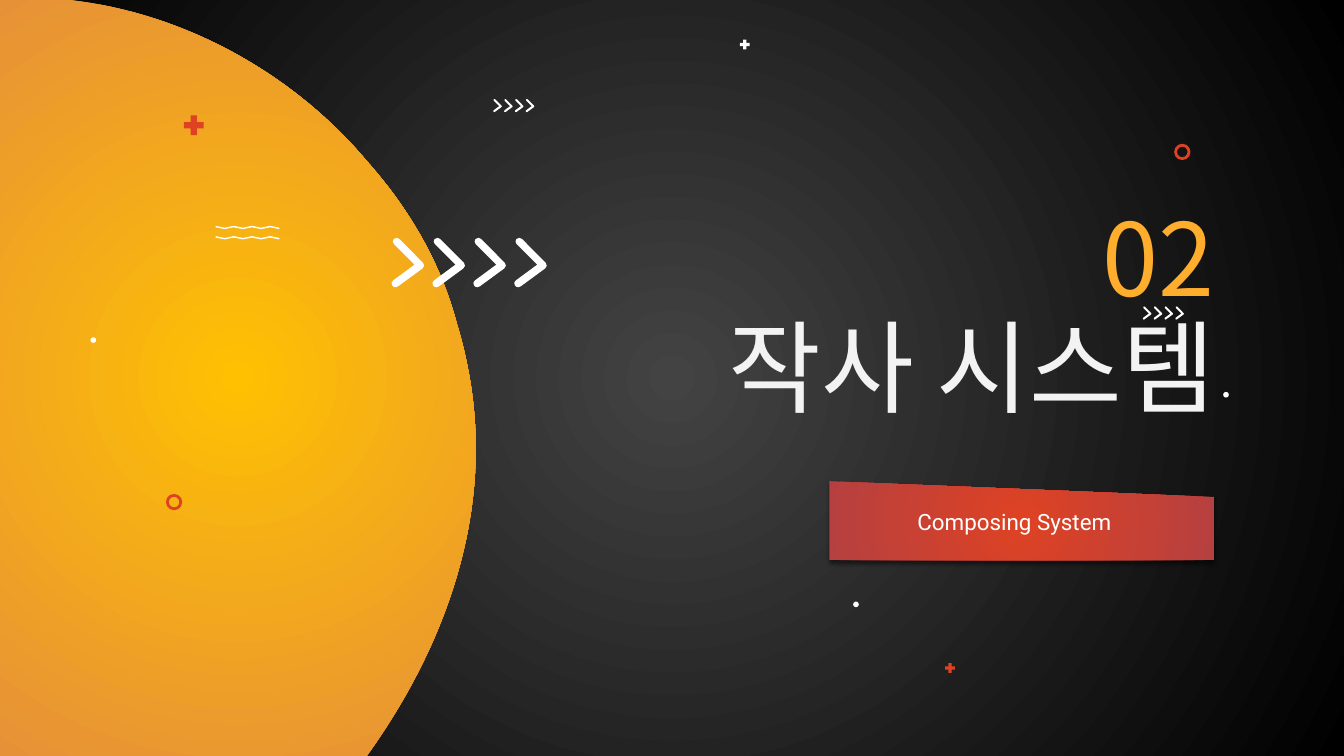
from lxml import etree
from pptx import Presentation
from pptx.dml import color
from pptx.enum import shapes, text
from pptx.oxml import ns
from pptx.util import Pt

WHITE, RED = "FFFFFF", "DE4223"
HEADING_FONT, BODY_FONT = "Noto Sans CJK KR", "Roboto"
TITLE = [("02", "FFAD2C"), ("작사 시스템", "F3F3F3")]
SUBTITLE = "Composing System"

DOME = [
    (254.9, 240.5),
    (254.9, 290.9, 237.6, 347.8, 196.6, 405),
    (0, 405),
    (0, -0.7),
    (71.3, -5.8, 147.6, 28.1, 196.6, 86.4),
    (219.6, 112.3, 236.2, 141.1, 244.8, 173.5),
    (251.3, 195.1, 254.9, 217.4, 254.9, 240.5),
]
CHEVRON = [
    (2.9, 0),
    (2.2, 0, 1.6, 0.2, 1.2, 0.7),
    (0.6, 1.5, 0.6, 2.6, 1.3, 3.3),
    (12.4, 14.4),
    (0.9, 22.9),
    (0, 23.5, -0.2, 24.6, 0.4, 25.5),
    (0.8, 26.1, 1.5, 26.5, 2.2, 26.5),
    (2.7, 26.5, 3.2, 26.3, 3.6, 26),
    (16.7, 16.4),
    (17.2, 16.1, 17.5, 15.6, 17.5, 15),
    (17.5, 14.4, 17.3, 13.9, 17, 13.5),
    (4.3, 0.7),
    (3.9, 0.3, 3.4, 0, 2.9, 0),
]
CHEVRON_COUNT = 4
CHEVRON_PITCH = 21.9
SMALL_CHEVRONS = [(612.2, 164.2), (264.2, 53.1)]
LARGE_CHEVRONS = (209.7, 127.4)
WAVES = [(115.5, 121), (115.5, 126.5)]
WAVE_WIDTH, WAVE_HEIGHT, WAVE_THICKNESS, WAVE_BENDS = 34.1, 1, 0.8, 7
PLUSES = [(96.6, 59.9, 14.4, RED), (395.4, 20.3, 7.2, WHITE), (505.4, 354.3, 7.2, RED)]
DOTS = [(48.5, 180.7), (655.3, 210), (457.1, 322.3)]
RINGS = [(629.8, 77.8), (89.7, 265.4)]


def rgb(value):
    return color.RGBColor.from_string(value)


def paint(shape, fill=None, line=None):
    shape.shadow.inherit = False
    if fill:
        shape.fill.solid()
        shape.fill.fore_color.rgb = rgb(fill)
    else:
        shape.fill.background()
    if line:
        shape.line.color.rgb = rgb(line)
        shape.line.width = Pt(1.5)
    else:
        shape.line.fill.background()


def paint_radial(fill, element, inner, outer):
    fill.gradient()
    for stop, value in zip(fill.gradient_stops, (inner, outer)):
        stop.color.rgb = rgb(value)
    gradient = next(element.iter(ns.qn("a:gradFill")))
    gradient.remove(gradient.find(ns.qn("a:lin")))
    circle = etree.SubElement(gradient, ns.qn("a:path"), path="circle")
    etree.SubElement(circle, ns.qn("a:fillToRect"), l="50000", t="50000", r="50000", b="50000")


def add_outline(slide, outline, left=0, top=0, scale=1):
    placed = [[(Pt(left + x * scale), Pt(top + y * scale))
               for x, y in zip(segment[::2], segment[1::2])] for segment in outline]
    ends = [segment[-1] for segment in placed]
    builder = slide.shapes.build_freeform(*ends[0], scale=1.0)
    builder.add_line_segments(ends[1:], close=True)
    shape = builder.convert_to_shape()
    origin_x, origin_y = min(x for x, y in ends), min(y for x, y in ends)
    sides = list(shape._element.iter(ns.qn("a:lnTo")))
    for side, segment in zip(sides, placed[1:]):
        if len(segment) == 3:
            curve = etree.Element(ns.qn("a:cubicBezTo"))
            for x, y in segment:
                etree.SubElement(curve, ns.qn("a:pt"), x=str(x - origin_x), y=str(y - origin_y))
            side.getparent().replace(side, curve)
    paint(shape, WHITE)
    return shape


def wave_outline():
    def bends(stops, y_shift):
        for start, end in zip(stops, stops[1:]):
            x0, x1 = start * WAVE_WIDTH / WAVE_BENDS, end * WAVE_WIDTH / WAVE_BENDS
            y0, y1 = (WAVE_HEIGHT * (stop % 2) + y_shift for stop in (start, end))
            reach = 0.36 * (x1 - x0)
            yield x0 + reach, y0, x1 - reach, y1, x1, y1

    stops = list(range(WAVE_BENDS + 1))
    return [(0, 0), *bends(stops, 0), (WAVE_WIDTH, WAVE_HEIGHT + WAVE_THICKNESS),
            *bends(stops[::-1], WAVE_THICKNESS)]


def add_preset(slide, kind, left, top, width, height, **colours):
    shape = slide.shapes.add_shape(kind, Pt(left), Pt(top), Pt(width), Pt(height))
    paint(shape, **colours)
    return shape


def add_chevrons(slide, left, top, scale=1):
    for index in range(CHEVRON_COUNT):
        add_outline(slide, CHEVRON, left + index * CHEVRON_PITCH * scale, top, scale)


def add_text(slide, lines, *, box, font, size, spacing=1, anchor=text.MSO_ANCHOR.TOP):
    frame = slide.shapes.add_textbox(*map(Pt, box)).text_frame
    frame.word_wrap = True
    frame.vertical_anchor = anchor
    frame.margin_left = frame.margin_right = frame.margin_top = frame.margin_bottom = 0
    paragraph = frame.paragraphs[0]
    paragraph.alignment = text.PP_ALIGN.RIGHT
    paragraph.line_spacing = spacing
    for index, (words, colour) in enumerate(lines):
        if index:
            paragraph.add_line_break()
        run = paragraph.add_run()
        run.text = words
        run.font.name = font
        run.font.size = Pt(size)
        run.font.color.rgb = rgb(colour)
        latin = run.font._element.find(ns.qn("a:latin"))
        latin.addnext(etree.Element(ns.qn("a:ea"), typeface=font))
    for line_break in paragraph._p.findall(ns.qn("a:br")):
        etree.SubElement(line_break, ns.qn("a:rPr"), sz=str(size * 100))


def add_banner(slide):
    banner = add_preset(slide, shapes.MSO_SHAPE.FLOWCHART_MANUAL_INPUT, 444.4, 257.8, 205.9, 42.3)
    paint_radial(banner.fill, banner._element, RED, "B64040")
    properties = banner._element.spPr
    properties.find(ns.qn("a:xfrm")).set("flipH", "1")
    shadow = etree.SubElement(
        properties.find(ns.qn("a:effectLst")), ns.qn("a:outerShdw"),
        blurRad=str(Pt(2.2)), dist=str(Pt(1.5)), dir="5400000", algn="bl", rotWithShape="0")
    shade = etree.SubElement(shadow, ns.qn("a:srgbClr"), val="000000")
    etree.SubElement(shade, ns.qn("a:alpha"), val="50000")


def main():
    deck = Presentation()
    deck.slide_width, deck.slide_height = Pt(720), Pt(405)
    slide = deck.slides.add_slide(deck.slide_layouts[6])
    paint_radial(slide.background.fill, slide._element, "434343", "000000")

    dome = add_outline(slide, DOME)
    paint_radial(dome.fill, dome._element, "FFC002", "E69138")

    for left, top in WAVES:
        add_outline(slide, wave_outline(), left, top)
    for left, top, size, colour in PLUSES:
        plus = add_preset(slide, shapes.MSO_SHAPE.MATH_PLUS, left, top, size, size, fill=colour)
        plus.adjustments[0] = 0.235
    for left, top in DOTS:
        add_preset(slide, shapes.MSO_SHAPE.OVAL, left, top, 3, 3, fill=WHITE)
    for left, top in RINGS:
        add_preset(slide, shapes.MSO_SHAPE.OVAL, left, top, 7.2, 7.2, line=RED)
    for left, top in SMALL_CHEVRONS:
        add_chevrons(slide, left, top, 0.265)

    add_banner(slide)
    add_text(slide, TITLE, box=(293, 52.6, 357.8, 176.4), font=HEADING_FONT, size=54,
             spacing=0.9, anchor=text.MSO_ANCHOR.BOTTOM)
    add_text(slide, [(SUBTITLE, WHITE)], box=(347.8, 272.2, 247.7, 28.1), font=BODY_FONT, size=12)
    add_chevrons(slide, *LARGE_CHEVRONS)

    deck.save("out.pptx")


if __name__ == "__main__":
    main()
